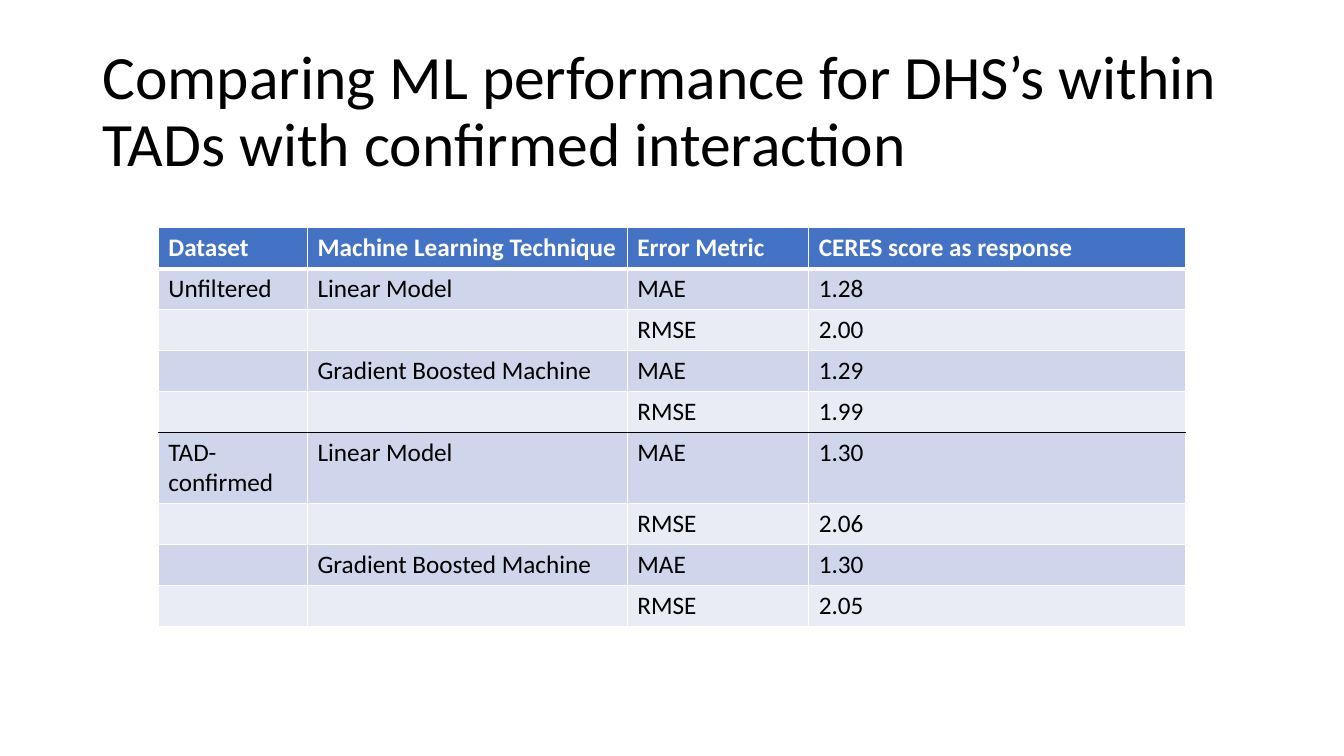
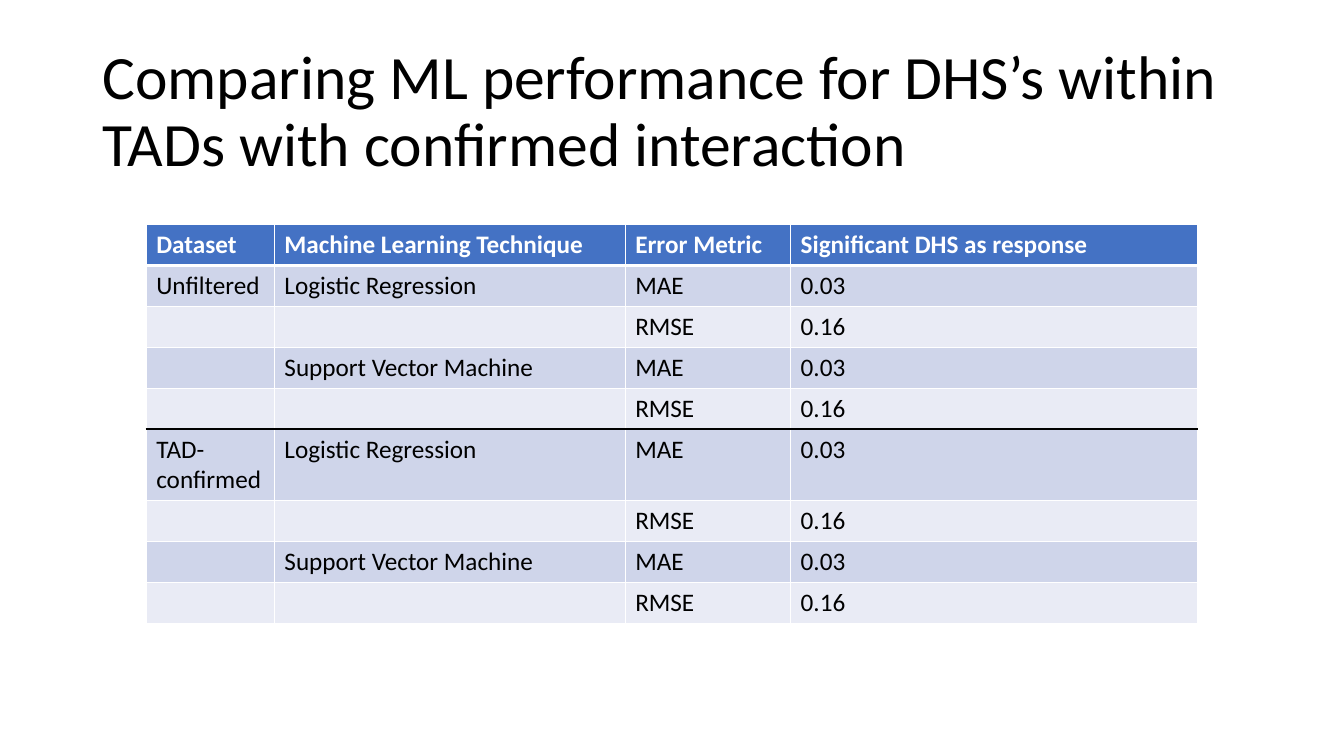
from pptx import Presentation
from pptx.dml.color import RGBColor
from pptx.enum.text import MSO_ANCHOR, MSO_AUTO_SIZE, PP_ALIGN
from pptx.oxml import parse_xml
from pptx.oxml.ns import nsdecls
from pptx.util import Cm, Pt

MIDDLE = MSO_ANCHOR.MIDDLE
NO_AUTOFIT = MSO_AUTO_SIZE.NONE
LEFT = PP_ALIGN.LEFT

FONT = "Calibri"
BLACK = "000000"
WHITE = "FFFFFF"
HEADER_FILL = "4472C4"
BAND_FILLS = ("E9EBF5", "CFD5EA")

SLIDE_WIDTH = Cm(33.87)
SLIDE_HEIGHT = Cm(19.05)
ROW_HEIGHT = Cm(1.03)
TITLE_ONLY = 5
TITLE = "Comparing ML performance for DHS’s within TADs with confirmed interaction"
DATASETS = ("Unfiltered", "TAD-confirmed")
METRICS = ("MAE", "RMSE")
DATASET_ROWS = 4

RESULTS = (
    {
        "response": "CERES score as response",
        "techniques": ("Linear Model", "Gradient Boosted Machine"),
        "scores": ("1.28", "2.00", "1.29", "1.99", "1.30", "2.06", "1.30", "2.05"),
        "top": 5.74,
        "widths": (3.76, 8.06, 4.57, 9.5),
    },
    {
        "response": "Significant DHS as response",
        "techniques": ("Logistic Regression", "Support Vector Machine"),
        "scores": ("0.03", "0.16") * 4,
        "top": 5.66,
        "widths": (3.23, 8.84, 4.17, 10.26),
    },
)


def color(value):
    return RGBColor.from_string(value)


def format_text(frame, size, text_color, bold=False):
    for para in frame.paragraphs:
        para.alignment = LEFT
        for span in para.runs:
            span.font.name = FONT
            span.font.size = Pt(size)
            span.font.bold = bold
            span.font.color.rgb = color(text_color)


def add_title(page):
    title = page.shapes.title
    title.left, title.top = Cm(2.33), Cm(1.01)
    title.width, title.height = Cm(29.21), Cm(3.68)
    frame = title.text_frame
    frame.text = TITLE
    frame.word_wrap = True
    frame.auto_size = NO_AUTOFIT
    frame.vertical_anchor = MIDDLE
    frame.paragraphs[0].line_spacing = 0.9
    format_text(frame, 44, BLACK)


def rule_above(row_index):
    if row_index == 1:
        return WHITE, 3
    if row_index == 1 + DATASET_ROWS:
        return BLACK, 1
    return WHITE, 1


def set_borders(cell, row_index):
    sides = (
        ("lnL", (WHITE, 1)),
        ("lnR", (WHITE, 1)),
        ("lnT", rule_above(row_index)),
        ("lnB", rule_above(row_index + 1)),
    )
    properties = cell._tc.get_or_add_tcPr()
    for position, (tag, (line_color, width)) in enumerate(sides):
        properties.insert(position, parse_xml(
            f'<a:{tag} {nsdecls("a")} w="{Pt(width)}"><a:solidFill>'
            f'<a:srgbClr val="{line_color}"/></a:solidFill></a:{tag}>'
        ))


def table_rows(result):
    rows = [("Dataset", "Machine Learning Technique", "Error Metric", result["response"])]
    for index, score in enumerate(result["scores"]):
        dataset, dataset_row = divmod(index, DATASET_ROWS)
        technique, metric = divmod(dataset_row, len(METRICS))
        rows.append((
            DATASETS[dataset] if dataset_row == 0 else "",
            result["techniques"][technique] if metric == 0 else "",
            METRICS[metric],
            score,
        ))
    return rows


def add_results_table(page, result):
    rows = table_rows(result)
    widths = [Cm(width) for width in result["widths"]]
    total = sum(widths)
    table = page.shapes.add_table(
        len(rows), len(widths), (SLIDE_WIDTH - total) // 2, Cm(result["top"]),
        total, ROW_HEIGHT * len(rows),
    ).table
    for column, width in zip(table.columns, widths):
        column.width = width
    for row_index, texts in enumerate(rows):
        table.rows[row_index].height = ROW_HEIGHT
        header = row_index == 0
        fill = HEADER_FILL if header else BAND_FILLS[row_index % 2]
        for cell, text in zip(table.rows[row_index].cells, texts):
            cell.text = text
            cell.fill.solid()
            cell.fill.fore_color.rgb = color(fill)
            set_borders(cell, row_index)
            format_text(cell.text_frame, 18, WHITE if header else BLACK, header)


def main():
    deck = Presentation()
    deck.slide_width, deck.slide_height = SLIDE_WIDTH, SLIDE_HEIGHT
    for result in RESULTS:
        page = deck.slides.add_slide(deck.slide_layouts[TITLE_ONLY])
        add_title(page)
        add_results_table(page, result)
    deck.save("out.pptx")


if __name__ == "__main__":
    main()
